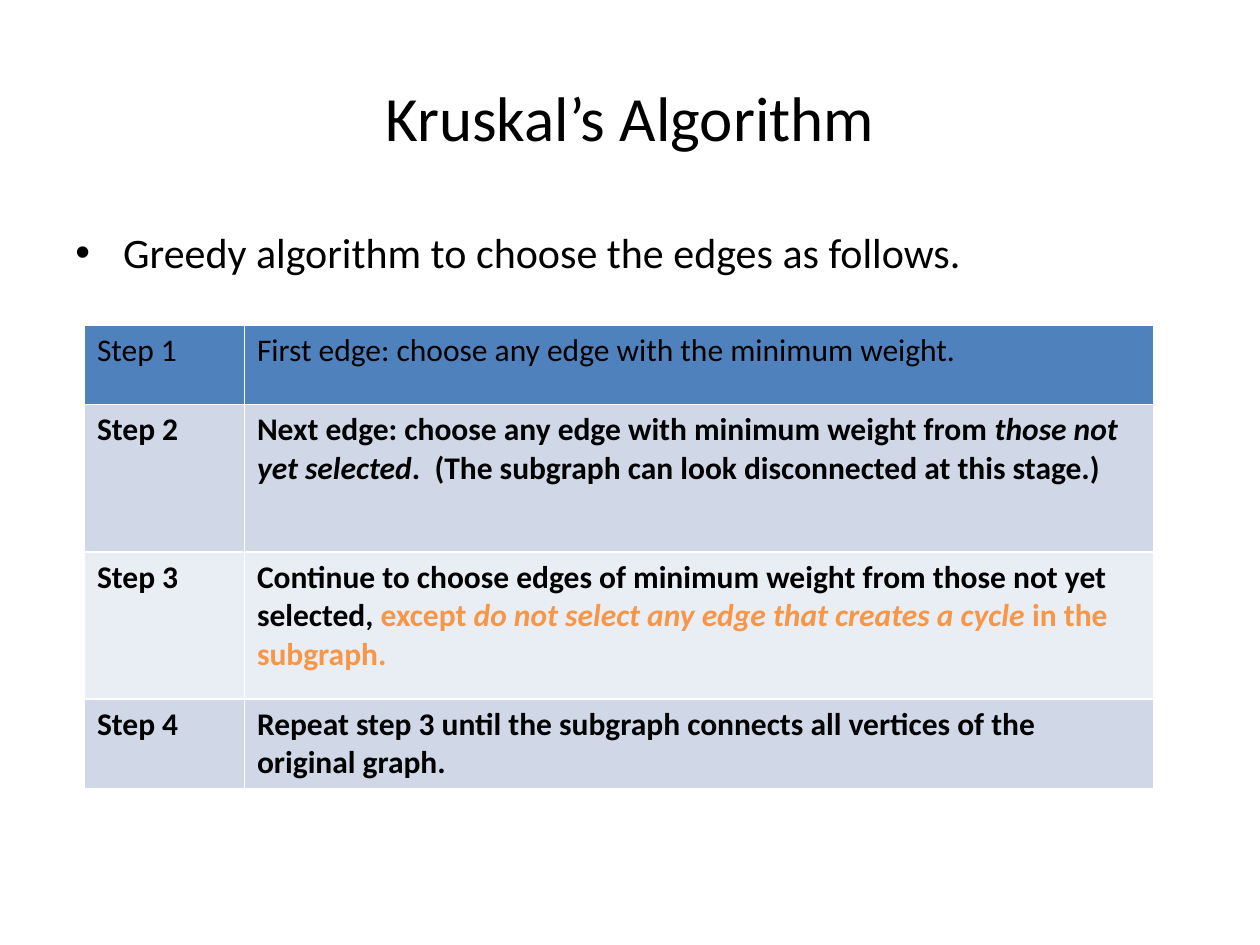
from lxml import etree
from pptx import Presentation
from pptx.dml.color import RGBColor
from pptx.enum import text
from pptx.oxml.ns import qn
from pptx.util import Inches, Pt

BLACK = RGBColor(0x00, 0x00, 0x00)
ORANGE = RGBColor(0xF7, 0x96, 0x46)
HEADER_BLUE = RGBColor(0x4F, 0x81, 0xBD)
BAND_DARK = RGBColor(0xD0, 0xD8, 0xE8)
BAND_LIGHT = RGBColor(0xE9, 0xED, 0xF4)
FONT = "Calibri"

TITLE = "Kruskal’s Algorithm"
INTRO = "Greedy algorithm to choose the edges as follows."

# Each step is a list of spans: (text, italic, colour)
STEPS = [
    [("First edge: choose any edge with the minimum weight.", False, BLACK)],
    [("Next edge: choose any edge with minimum weight from ", False, BLACK),
     ("those not yet selected", True, BLACK),
     (".  (The subgraph can look disconnected at this stage.)", False, BLACK)],
    [("Continue to choose edges of minimum weight from those not yet selected, ",
      False, BLACK),
     ("except ", False, ORANGE),
     ("do not select any edge that creates a cycle", True, ORANGE),
     (" in the subgraph.", False, ORANGE)],
    [("Repeat step 3 until the subgraph connects all vertices of the original graph.",
      False, BLACK)],
]
COLUMN_WIDTHS = [1.27, 7.22]
ROW_HEIGHTS = [0.63, 1.17, 1.17, 0.71]


def style(para, size, bold=False):
    para.font.name = FONT
    para.font.size = Pt(size)
    para.font.bold = bold
    para.font.color.rgb = BLACK


def add_text(page, words, top, height, size):
    box = page.shapes.add_textbox(Inches(0.5), Inches(top), Inches(9), Inches(height))
    box.text_frame.word_wrap = True
    para = box.text_frame.paragraphs[0]
    para.text = words
    style(para, size)
    return box.text_frame, para


def add_bullet(para, indent):
    props = para._p.get_or_add_pPr()
    props.set("marL", str(indent))
    props.set("indent", str(-indent))
    bullet_font = etree.Element(qn("a:buFont"), typeface="Arial")
    bullet = etree.Element(qn("a:buChar"), char="•")
    props.insert(0, bullet_font)
    props.insert(1, bullet)


def fill_cell(cell, spans, colour, bold):
    cell.fill.solid()
    cell.fill.fore_color.rgb = colour
    para = cell.text_frame.paragraphs[0]
    style(para, 18, bold)
    for words, italic, span_colour in spans:
        span = para.add_run()
        span.text = words
        span.font.name = FONT
        span.font.size = Pt(18)
        span.font.bold = bold
        span.font.italic = italic
        span.font.color.rgb = span_colour


def add_steps_table(page):
    table = page.shapes.add_table(
        len(STEPS), len(COLUMN_WIDTHS), Inches(0.67), Inches(2.58),
        Inches(sum(COLUMN_WIDTHS)), Inches(sum(ROW_HEIGHTS))).table
    for column, width in zip(table.columns, COLUMN_WIDTHS):
        column.width = Inches(width)
    for index, (spans, height) in enumerate(zip(STEPS, ROW_HEIGHTS)):
        table.rows[index].height = Inches(height)
        if index == 0:
            colour = HEADER_BLUE
        else:
            colour = BAND_DARK if index % 2 else BAND_LIGHT
        label = [(f"Step {index + 1}", False, BLACK)]
        for column, content in enumerate([label, spans]):
            fill_cell(table.cell(index, column), content, colour, bold=index > 0)


def main():
    deck = Presentation()
    deck.slide_width, deck.slide_height = Inches(10), Inches(7.5)
    page = deck.slides.add_slide(deck.slide_layouts[6])

    frame, para = add_text(page, TITLE, 0.3, 1.25, 36)
    frame.vertical_anchor = text.MSO_ANCHOR.MIDDLE
    para.alignment = text.PP_ALIGN.CENTER

    frame, para = add_text(page, INTRO, 1.75, 4.95, 24)
    add_bullet(para, Inches(0.38))

    add_steps_table(page)
    deck.save("out.pptx")


if __name__ == "__main__":
    main()
